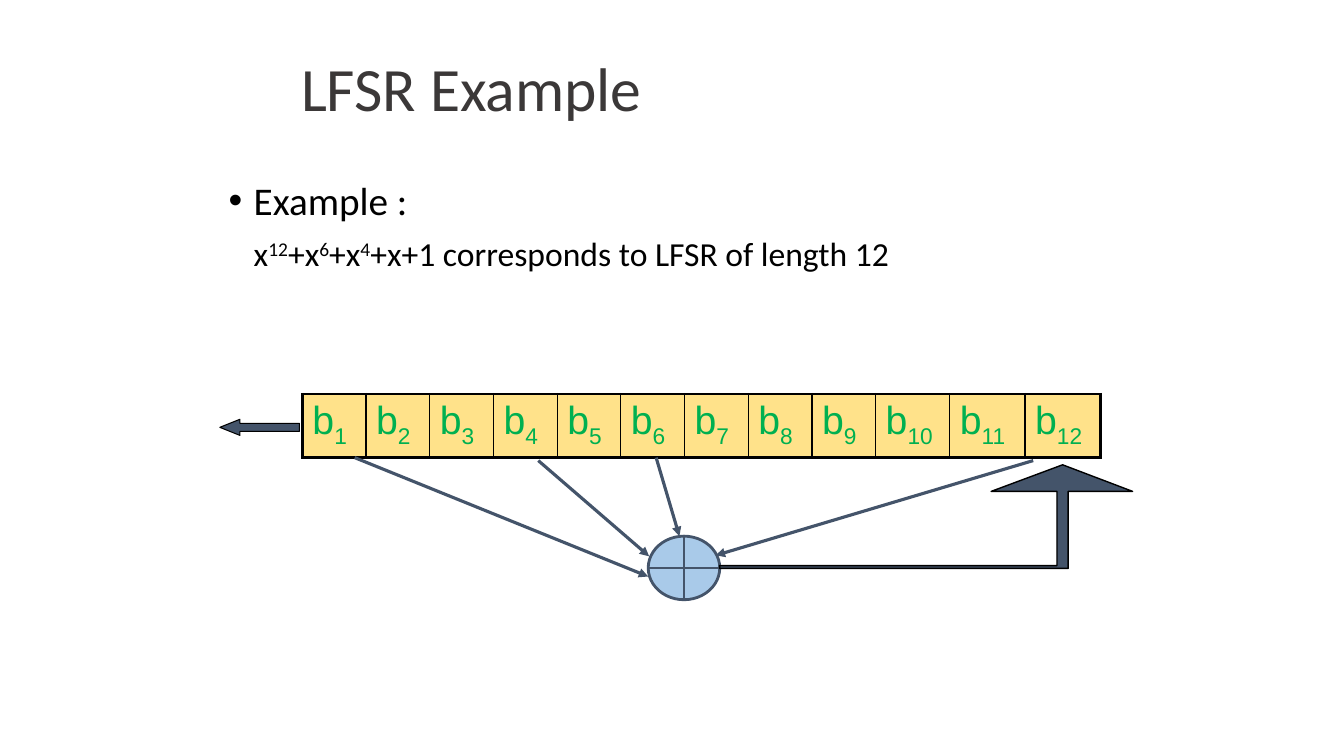
from lxml import etree
from pptx import Presentation
from pptx.dml.color import RGBColor
from pptx.enum.shapes import MSO_CONNECTOR, MSO_SHAPE
from pptx.enum.text import MSO_ANCHOR
from pptx.oxml import parse_xml
from pptx.oxml.ns import qn
from pptx.util import Pt

STRAIGHT = MSO_CONNECTOR.STRAIGHT
XOR_GATE = MSO_SHAPE.FLOWCHART_OR
LEFT_ARROW = MSO_SHAPE.LEFT_ARROW
MIDDLE = MSO_ANCHOR.MIDDLE
DRAWING_NS = "http://schemas.openxmlformats.org/drawingml/2006/main"

SLATE, BLACK = "44546A", "000000"
TITLE = "LFSR Example"
HEADING = "Example :"
# (text, baseline shift in percent)
POLYNOMIAL = [("x", 0), ("12", 30), ("+x", 0), ("6", 30), ("+x", 0), ("4", 30),
              ("+x+1 corresponds to LFSR of length 12", 0)]
BIT_WIDTHS = [45.5] * 9 + [53, 53.8, 53.8]
REGISTER_LEFT, REGISTER_TOP, REGISTER_HEIGHT = 216, 281.5, 44.9
# (start, end) of each feedback tap
TAPS = [((738, 329), (511.2, 396.7)), ((468.7, 326.9), (485.3, 383)),
        ((384.5, 329), (463.7, 397.4)), ((253.4, 326.9), (463, 411.8))]
FEEDBACK_ARROW = [(758.9, 332.3), (708.5, 351.4), (754.9, 351.4), (754.9, 404),
                  (514.1, 404), (514.1, 406.1), (762.8, 406.1), (762.8, 351.4),
                  (808.9, 351.4)]


def color(hex_string):
    return RGBColor.from_string(hex_string)


def set_alpha(fill_parent, percent):
    """Make the solid fill directly inside an XML element partly transparent."""
    rgb = fill_parent.find(qn("a:solidFill")).find(qn("a:srgbClr"))
    etree.SubElement(rgb, qn("a:alpha"), val=str(percent * 1000))


def add_run(paragraph, text, size, hex_string, font="Calibri", baseline=0):
    run = paragraph.add_run()
    run.text = text
    run.font.size = Pt(size)
    run.font.name = font
    run.font.color.rgb = color(hex_string)
    if baseline:
        run.font._element.set("baseline", str(baseline * 1000))


def add_text_frame(slide, left, top, width, height):
    frame = slide.shapes.add_textbox(Pt(left), Pt(top), Pt(width), Pt(height)).text_frame
    frame.word_wrap = True
    return frame


def style_shape(shape, fill, line, line_width):
    shape.shadow.inherit = False
    shape.fill.solid()
    shape.fill.fore_color.rgb = color(fill)
    shape.line.color.rgb = color(line)
    shape.line.width = Pt(line_width)


def add_text(slide):
    title_frame = add_text_frame(slide, 208, 20.2, 648, 90)
    title_frame.vertical_anchor = MIDDLE
    title_frame.paragraphs[0].line_spacing = 0.9
    add_run(title_frame.paragraphs[0], TITLE, 44, "3B3838")

    body_frame = add_text_frame(slide, 156.2, 126, 648, 100.8)
    heading = body_frame.paragraphs[0]
    formula = body_frame.add_paragraph()
    for paragraph, indent in ((heading, -18), (formula, 0)):
        paragraph.line_spacing = 0.9
        paragraph.space_before = Pt(10)
        properties = paragraph._p.get_or_add_pPr()
        properties.set("marL", str(Pt(18)))
        properties.set("indent", str(Pt(indent)))
    bullet_properties = heading._p.get_or_add_pPr()
    etree.SubElement(bullet_properties, qn("a:buFont"), typeface="Arial")
    etree.SubElement(bullet_properties, qn("a:buChar"), char="•")
    add_run(heading, HEADING, 28, BLACK)
    for text, baseline in POLYNOMIAL:
        add_run(formula, text, 24, BLACK, baseline=baseline)


def set_borders(cell, widths):
    """Draw black borders; widths are for left, right, top and bottom."""
    properties = cell._tc.get_or_add_tcPr()
    for position, (side, width) in enumerate(zip("LRTB", widths)):
        properties.insert(position, parse_xml(
            f'<a:ln{side} xmlns:a="{DRAWING_NS}" w="{Pt(width)}"><a:solidFill>'
            f'<a:srgbClr val="{BLACK}"/></a:solidFill></a:ln{side}>'))


def add_register(slide):
    count = len(BIT_WIDTHS)
    table = slide.shapes.add_table(
        1, count, Pt(REGISTER_LEFT), Pt(REGISTER_TOP),
        Pt(sum(BIT_WIDTHS)), Pt(REGISTER_HEIGHT)).table
    table.first_row = False
    table.horz_banding = False
    for index, width in enumerate(BIT_WIDTHS):
        table.columns[index].width = Pt(width)
        cell = table.cell(0, index)
        cell.fill.solid()
        cell.fill.fore_color.rgb = color("FFD966")
        set_alpha(cell._tc.tcPr, 76)
        set_borders(cell, (2.25 if index == 0 else 1,
                           2.25 if index == count - 1 else 1, 2.25, 2.25))
        paragraph = cell.text_frame.paragraphs[0]
        add_run(paragraph, "b", 28, "00B050", "Arial")
        add_run(paragraph, str(index + 1), 28, "00B050", "Arial", -25)


def add_tap(slide, start, end):
    connector = slide.shapes.add_connector(STRAIGHT, *map(Pt, start + end))
    connector.line.color.rgb = color(SLATE)
    connector.line.width = Pt(2.25)
    etree.SubElement(connector.line._get_or_add_ln(), qn("a:tailEnd"), type="triangle")
    etree.SubElement(connector._element.spPr, qn("a:effectLst"))


def add_feedback(slide):
    gate = slide.shapes.add_shape(XOR_GATE, Pt(463), Pt(383), Pt(51.1), Pt(45.4))
    style_shape(gate, "5B9BD5", SLATE, 2)
    set_alpha(gate._element.spPr, 52)

    output_arrow = slide.shapes.add_shape(LEFT_ARROW, Pt(157), Pt(299.5), Pt(56.9), Pt(11.5))
    output_arrow.adjustments[0] = 0.5
    output_arrow.adjustments[1] = 1.25
    style_shape(output_arrow, SLATE, BLACK, 0.75)

    builder = slide.shapes.build_freeform(*FEEDBACK_ARROW[0], scale=Pt(1))
    builder.add_line_segments(FEEDBACK_ARROW[1:], close=True)
    style_shape(builder.convert_to_shape(), SLATE, BLACK, 1)

    for start, end in TAPS:
        add_tap(slide, start, end)


def main():
    presentation = Presentation()
    presentation.slide_width = Pt(960)
    presentation.slide_height = Pt(540)
    slide = presentation.slides.add_slide(presentation.slide_layouts[6])
    add_text(slide)
    add_register(slide)
    add_feedback(slide)
    presentation.save("out.pptx")


if __name__ == "__main__":
    main()
